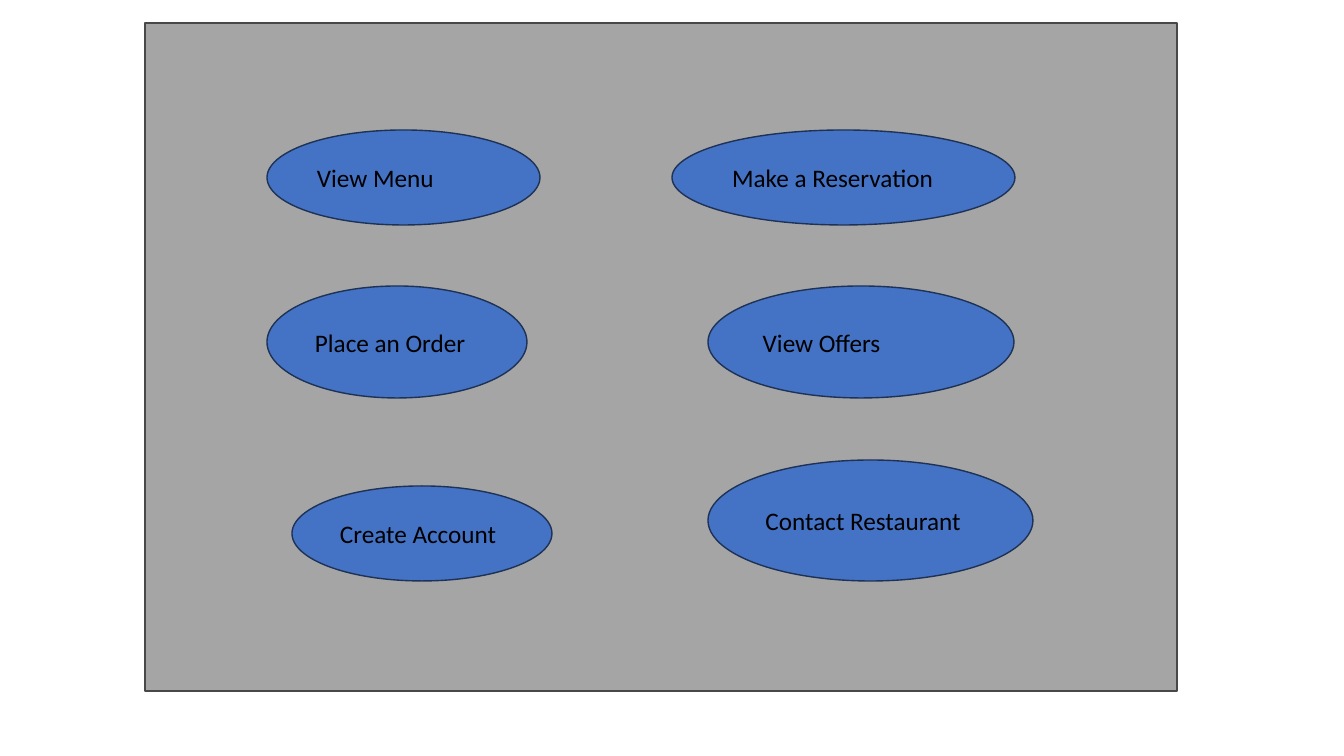
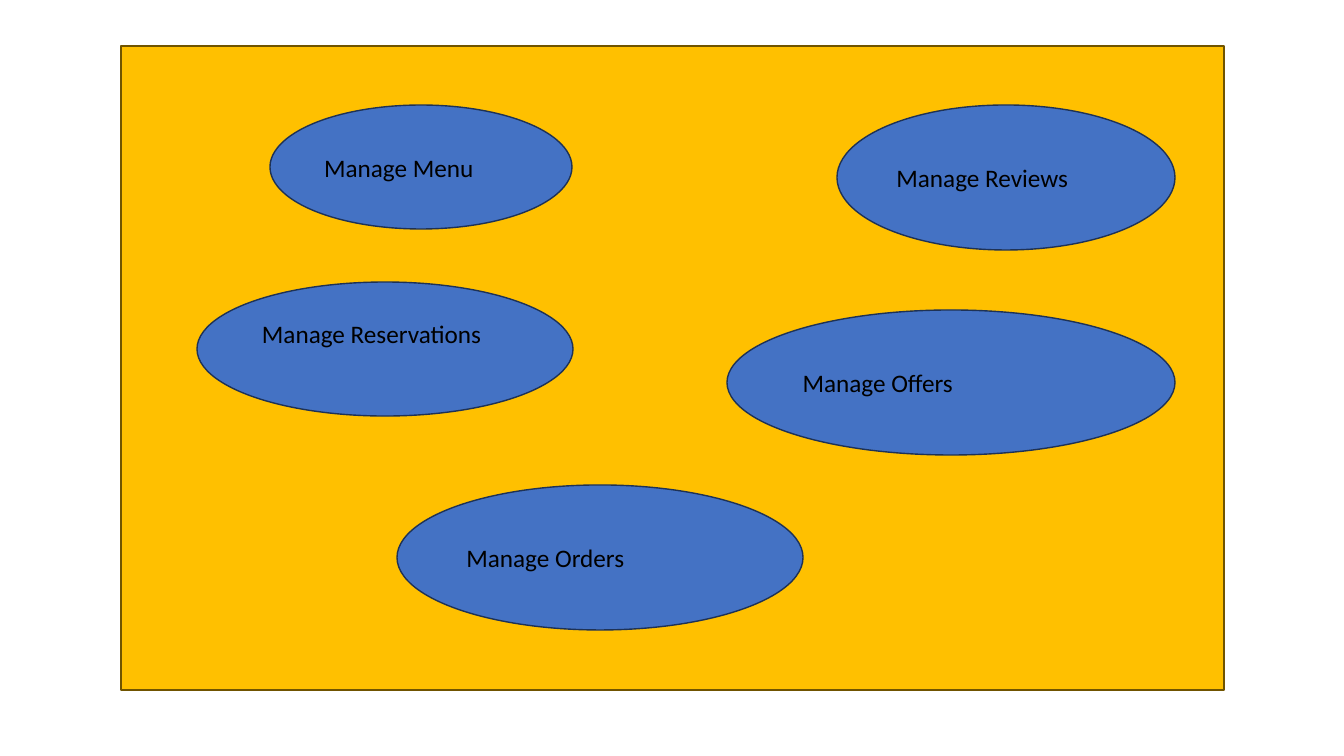
from pptx import Presentation
from pptx import util as u
from pptx.dml.color import RGBColor
from pptx.enum import shapes, text

PX = 914400 / 100.8
COLORS = {
    "gray": "A5A5A5", "gray_line": "484848",
    "gold": "FFC000", "gold_line": "705400",
    "blue": "4472C4", "blue_line": "1E3256",
    "text": "000000",
}
FONT, FONT_SIZE = "Calibri", 18
INSET = 5
TEXT_LINE = 31

# Boxes are left, top, width, height; the last use case value is the text lift in px.
SLIDES = [
    {
        "color": "gray",
        "panel": (145, 23, 1032, 668),
        "use_cases": [
            ("View Menu", (267, 130, 273, 95), 0),
            ("Make a Reservation", (672, 130, 343, 95), 0),
            ("Place an Order", (267, 286, 260, 112), 0),
            ("View Offers", (708, 286, 306, 112), 0),
            ("Create Account", (292, 486, 260, 95), 0),
            ("Contact Restaurant", (708, 460, 325, 121), 0),
        ],
    },
    {
        "color": "gold",
        "panel": (121, 46, 1103, 644),
        "use_cases": [
            ("Manage Menu", (270, 105, 302, 124), 0),
            ("Manage Reviews", (837, 105, 338, 145), 0),
            ("Manage Reservations", (197, 282, 376, 134), TEXT_LINE),
            ("Manage Offers", (727, 310, 448, 145), 0),
            ("Manage Orders", (397, 485, 406, 145), 0),
        ],
    },
]


def px(n):
    return u.Emu(round(n * PX))


def rgb(name):
    return RGBColor.from_string(COLORS[name])


def add_outlined(s, kind, box, color):
    sp = s.shapes.add_shape(kind, *map(px, box))
    sp.shadow.inherit = False
    sp.fill.solid()
    sp.fill.fore_color.rgb = rgb(color)
    sp.line.color.rgb = rgb(color + "_line")
    sp.line.width = u.Pt(1)
    return sp


def add_use_case(s, label, box, lift):
    """Add an oval; lift is extra bottom inset that raises its label."""
    sp = add_outlined(s, shapes.MSO_SHAPE.OVAL, box, "blue")
    tf = sp.text_frame
    tf.word_wrap = True
    tf.vertical_anchor = text.MSO_ANCHOR.MIDDLE
    tf.margin_bottom = px(INSET + lift)
    p = tf.paragraphs[0]
    p.alignment = text.PP_ALIGN.LEFT
    r = p.add_run()
    r.text = label
    r.font.name = FONT
    r.font.size = u.Pt(FONT_SIZE)
    r.font.color.rgb = rgb("text")


def main():
    prs = Presentation()
    prs.slide_width, prs.slide_height = px(1344), px(756)
    for content in SLIDES:
        s = prs.slides.add_slide(prs.slide_layouts[6])
        add_outlined(s, shapes.MSO_SHAPE.RECTANGLE, content["panel"], content["color"])
        for use_case in content["use_cases"]:
            add_use_case(s, *use_case)
    prs.save("out.pptx")


if __name__ == "__main__":
    main()
